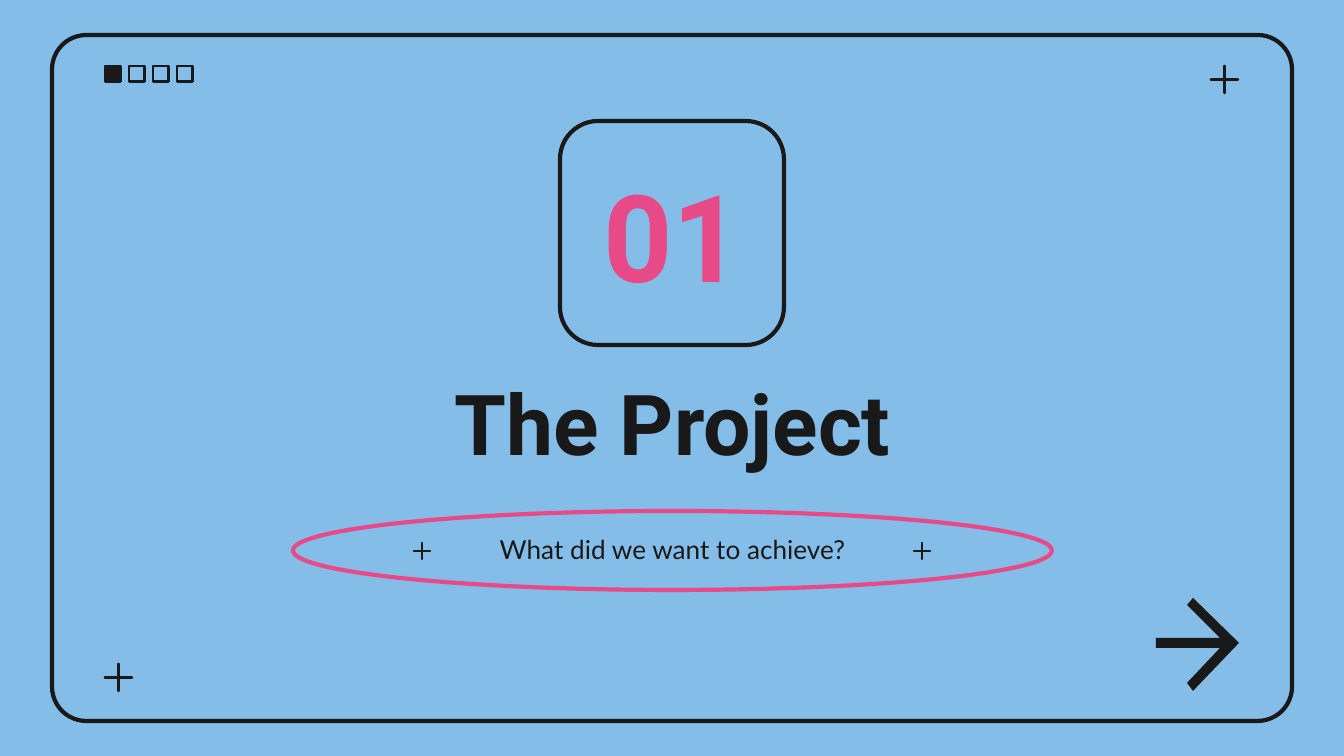
from pptx import Presentation
from pptx.dml.color import RGBColor
from pptx.enum.shapes import MSO_SHAPE
from pptx.enum.text import MSO_ANCHOR, MSO_AUTO_SIZE, PP_ALIGN
from pptx.util import Emu, Pt

SCALE = 914400 / 134.4  # EMU in one px
WIDTH, HEIGHT = 1344, 756
SKY, INK, PINK = "84BDE7", "191919", "E84987"


def px(length):
    return Emu(round(length * SCALE))


def color(value):
    return RGBColor.from_string(value)


class SectionPage:
    heading_font = "Roboto"
    body_font = "Lato"
    inset = 13

    def __init__(self, deck):
        self.page = deck.slides.add_slide(deck.slide_layouts[5])
        background = self.page.background.fill
        background.solid()
        background.fore_color.rgb = color(SKY)

    def paint(self, shape, fill, line, weight):
        shape.shadow.inherit = False
        if fill:
            shape.fill.solid()
            shape.fill.fore_color.rgb = color(fill)
        else:
            shape.fill.background()
        if line:
            shape.line.color.rgb = color(line)
            shape.line.width = Pt(weight)
        else:
            shape.line.fill.background()

    def shape(self, kind, left, top, width, height, fill=None, line=INK,
              weight=2.25, adjust=None):
        shape = self.page.shapes.add_shape(
            kind, px(left), px(top), px(width), px(height))
        if adjust is not None:
            shape.adjustments[0] = adjust
        self.paint(shape, fill, line, weight)

    def plus(self, left, top, size):
        self.shape(MSO_SHAPE.STAR_4_POINT, left, top, size, size,
                   fill=INK, weight=1.5, adjust=0)

    def outline(self, points, fill):
        builder = self.page.shapes.build_freeform(*points[0], scale=SCALE)
        builder.add_line_segments(points[1:], close=True)
        self.paint(builder.convert_to_shape(), fill, None, 0)

    def set_text(self, box, words, left, top, width, height, font, size, ink, bold):
        box.left, box.top = px(left), px(top)
        box.width, box.height = px(width), px(height)
        frame = box.text_frame
        frame.text = words
        frame.word_wrap = True
        frame.auto_size = MSO_AUTO_SIZE.NONE
        frame.vertical_anchor = MSO_ANCHOR.MIDDLE
        frame.margin_left = frame.margin_right = px(self.inset)
        frame.margin_top = frame.margin_bottom = px(self.inset)
        para = frame.paragraphs[0]
        para.alignment = PP_ALIGN.CENTER
        span = para.runs[0].font
        span.name, span.size, span.bold = font, Pt(size), bold
        span.color.rgb = color(ink)

    def title(self, words, *place, size):
        self.set_text(self.page.shapes.title, words, *place,
                      self.heading_font, size, INK, True)

    def text(self, words, *place, font, size, ink=INK, bold=False):
        box = self.page.shapes.add_textbox(0, 0, 0, 0)
        self.set_text(box, words, *place, font, size, ink, bold)


def main():
    deck = Presentation()
    deck.slide_width, deck.slide_height = px(WIDTH), px(HEIGHT)
    section = SectionPage(deck)

    # Frame with progress squares and corner marks
    section.shape(MSO_SHAPE.ROUNDED_RECTANGLE, 52, 35, 1240, 686, adjust=0.05)
    for step in range(4):
        section.shape(MSO_SHAPE.RECTANGLE, 105 + 24 * step, 66, 16, 16,
                      fill=INK if step == 0 else None, weight=1.5)
    section.plus(105, 664, 27)
    section.plus(1211, 66, 27)

    # Section number and title
    section.shape(MSO_SHAPE.ROUNDED_RECTANGLE, 560, 121, 224, 224, adjust=0.17)
    section.text("01", 562, 172, 222, 124, font=section.heading_font,
                 size=65, ink=PINK, bold=True)
    section.title("The Project", 335, 347, 675, 149, size=45)

    # Question in its ellipse
    section.shape(MSO_SHAPE.OVAL, 293, 511, 759, 79, line=PINK)
    section.text("What did we want to achieve?", 414, 519, 517, 60,
                 font=section.body_font, size=14)
    for left in (414, 914):
        section.plus(left, 543, 16)

    # Arrow to the next page
    section.outline([(1193, 598), (1187, 605), (1220, 638), (1156, 638),
                     (1156, 648), (1220, 648), (1187, 683), (1193, 691),
                     (1239, 643)], INK)

    deck.save("out.pptx")


if __name__ == "__main__":
    main()
